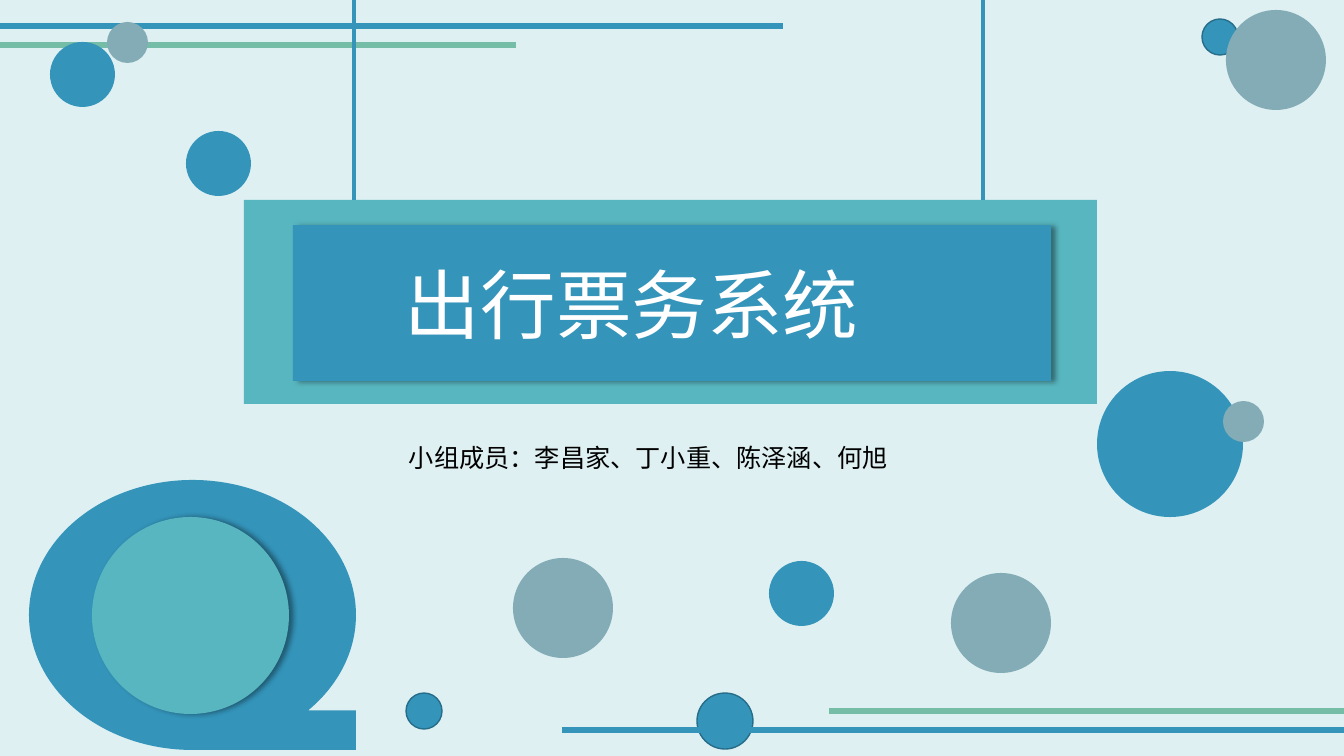
from lxml.etree import SubElement
from pptx import Presentation
from pptx.dml.color import RGBColor
from pptx.enum.shapes import MSO_CONNECTOR, MSO_SHAPE
from pptx.enum.text import MSO_ANCHOR, PP_ALIGN
from pptx.oxml.ns import qn
from pptx.util import Pt

TITLE = "出行票务系统"
MEMBERS = "小组成员：李昌家、丁小重、陈泽涵、何旭"
FONT = "Noto Sans CJK SC"
COLORS = {
    "background": "DEF0F2", "blue": "3494BA", "teal": "58B6C0", "green": "75BDA7",
    "gray": "84ACB6", "outline": "266D8A", "white": "FFFFFF", "black": "000000",
}
WIDTH, HEIGHT = 1344, 756
EMU_PER_PIXEL = 914400 / 100.8

STRIPES = [
    (0, 45, 516, 45, "green", 4.5),
    (0, 26, 783, 26, "blue", 4.5),
    (829, 711, WIDTH, 711, "green", 4.5),
    (562, 730, WIDTH, 730, "blue", 4.5),
]
HANGERS = [(x, 0, x, 200, "blue", 2.25) for x in (983, 354)]
BANNER = (244, 200, 853, 204)
TITLE_BOX = (293, 225, 758, 156)
MEMBERS_BOX = (399, 437, 563, 65)
TAPE = (29, 480, 327, 270)
TAPE_CENTER = (92, 517, 197, 197)
BUBBLES = [
    (1097, 371, 146, "blue", False),
    (951, 573, 100, "gray", False),
    (769, 561, 65, "blue", False),
    (697, 693, 56, "blue", True),
    (513, 558, 100, "gray", False),
    (1223, 401, 41, "gray", False),
    (406, 693, 36, "blue", True),
    (50, 42, 65, "blue", False),
    (107, 22, 41, "gray", False),
    (186, 131, 65, "blue", False),
    (1202, 19, 36, "blue", True),
    (1226, 10, 100, "gray", False),
]


def emu(pixels):
    return round(pixels * EMU_PER_PIXEL)


def color(name):
    return RGBColor.from_string(COLORS[name])


def paint(shape, fill, outlined=False):
    shape.shadow.inherit = False
    shape.fill.solid()
    shape.fill.fore_color.rgb = color(fill)
    if outlined:
        shape.line.color.rgb = color("outline")
        shape.line.width = Pt(1)
    else:
        shape.line.fill.background()


def cast_shadow(shape):
    effects = shape._element.spPr.find(qn("a:effectLst"))
    shadow = SubElement(effects, qn("a:outerShdw"), blurRad=str(Pt(4)),
                        dist=str(Pt(3)), dir="0", algn="l", rotWithShape="0")
    shade = SubElement(shadow, qn("a:srgbClr"), val=COLORS["black"])
    SubElement(shade, qn("a:alpha"), val="40000")


def add_shape(kind, box, fill, outlined=False):
    shape = slide.shapes.add_shape(kind, *map(emu, box))
    paint(shape, fill, outlined)
    return shape


def add_line(x1, y1, x2, y2, name, width):
    line = slide.shapes.add_connector(MSO_CONNECTOR.STRAIGHT, *map(emu, (x1, y1, x2, y2)))
    line.line.color.rgb = color(name)
    line.line.width = Pt(width)
    SubElement(line._element.spPr, qn("a:effectLst"))


def write(shape, text, size, name):
    shape.text_frame.word_wrap = True
    paragraph = shape.text_frame.paragraphs[0]
    paragraph.text = text
    paragraph.alignment = PP_ALIGN.LEFT
    paragraph.font.size = Pt(size)
    paragraph.font.color.rgb = color(name)
    paragraph.font.name = FONT
    properties = paragraph._p.pPr.find(qn("a:defRPr"))
    SubElement(properties, qn("a:ea"), typeface=FONT)


presentation = Presentation()
presentation.slide_width, presentation.slide_height = emu(WIDTH), emu(HEIGHT)
slide = presentation.slides.add_slide(presentation.slide_layouts[5])
slide.background.fill.solid()
slide.background.fill.fore_color.rgb = color("background")

for line in STRIPES[:2]:
    add_line(*line)
add_shape(MSO_SHAPE.RECTANGLE, BANNER, "teal")

title = slide.shapes.title
title.left, title.top, title.width, title.height = map(emu, TITLE_BOX)
paint(title, "blue")
cast_shadow(title)
write(title, TITLE, 54, "white")
title.text_frame.vertical_anchor = MSO_ANCHOR.MIDDLE
title.text_frame.margin_left = emu(112)
slide.shapes._spTree.append(title._element)

members = slide.shapes.add_textbox(*map(emu, MEMBERS_BOX))
write(members, MEMBERS, 18, "black")

for line in HANGERS:
    add_line(*line)
add_shape(MSO_SHAPE.FLOWCHART_SEQUENTIAL_ACCESS_STORAGE, TAPE, "blue")
cast_shadow(add_shape(MSO_SHAPE.OVAL, TAPE_CENTER, "teal"))
for left, top, size, fill, outlined in BUBBLES:
    add_shape(MSO_SHAPE.OVAL, (left, top, size, size), fill, outlined)
for line in STRIPES[2:]:
    add_line(*line)

presentation.save("out.pptx")
